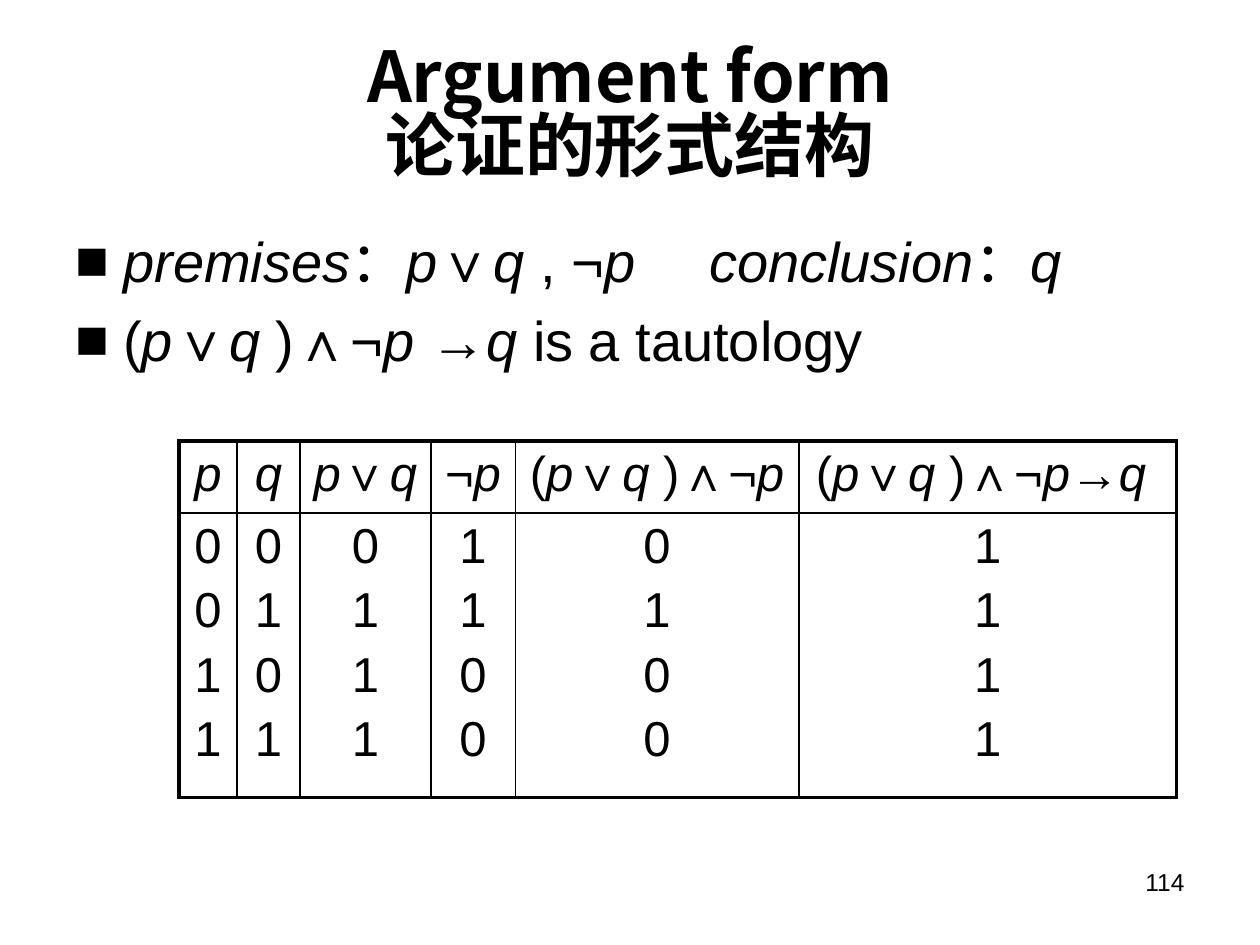
"""Build the slide on argument forms with its truth table."""
import pptx
import pptx.dml.color
import pptx.enum.text
import pptx.oxml.ns
import pptx.util
from lxml import etree
from pptx.util import Inches, Pt

BLACK = pptx.dml.color.RGBColor(0, 0, 0)
ALIGN = pptx.enum.text.PP_ALIGN
FONT = "Arial"
TITLE_FONT = "Noto Sans CJK SC"
THIN, THICK = 1, 2.25
COLUMNS = [
    ("*p*", 0.46, "0011"),
    ("*q*", 0.5, "0101"),
    ("*p*∨*q*", 1.04, "0111"),
    ("¬*p*", 0.67, "1100"),
    ("(*p*∨*q *)∧¬*p*", 2.25, "0100"),
    ("(*p*∨*q *)∧¬*p*→*q *", 3, "1111"),
]


def add_xml(parent, tag, **attrs):
    return etree.SubElement(parent, pptx.oxml.ns.qn(tag), attrs)


def format_run(r, size, font=FONT, bold=False, italic=False):
    r.font.name = font
    r.font.size = Pt(size)
    r.font.bold = bold
    r.font.italic = italic
    r.font.color.rgb = BLACK


def add_marked_runs(p, text, size):
    """Add runs to a paragraph, with italics between asterisks."""
    for i, part in enumerate(text.split("*")):
        if part:
            r = p.add_run()
            r.text = part
            format_run(r, size, italic=i % 2 == 1)


def fill_paragraphs(tf, lines, size, align):
    for i, line in enumerate(lines):
        p = tf.paragraphs[0] if i == 0 else tf.add_paragraph()
        p.alignment = align
        p.space_before = Pt(size * 0.2)
        add_marked_runs(p, line, size)


def add_text_box(s, left, top, width, height):
    tf = s.shapes.add_textbox(Inches(left), Inches(top), Inches(width), Inches(height)).text_frame
    tf.word_wrap = True
    return tf


def add_title(s, text):
    tf = add_text_box(s, 0.5, 0.3, 9, 1.25)
    tf.vertical_anchor = pptx.enum.text.MSO_ANCHOR.MIDDLE
    p = tf.paragraphs[0]
    p.text = text
    p.alignment = ALIGN.CENTER
    p.line_spacing = 0.82
    for r in p.runs:
        format_run(r, 40, TITLE_FONT, bold=True)
        add_xml(r.font._element, "a:ea", typeface=TITLE_FONT)


def add_bullets(s, lines):
    tf = add_text_box(s, 0.5, 1.75, 9, 4.95)
    fill_paragraphs(tf, lines, 32, ALIGN.LEFT)
    for p in tf.paragraphs:
        pPr = p._p.get_or_add_pPr()
        pPr.set("marL", str(Inches(0.38)))
        pPr.set("indent", str(Inches(-0.38)))
        add_xml(pPr, "a:buFont", typeface=FONT)
        add_xml(pPr, "a:buChar", char="■")
        tabs = add_xml(pPr, "a:tabLst")
        add_xml(tabs, "a:tab", pos=str(Inches(5.03)), algn="l")


def set_borders(cell, widths):
    tcPr = cell._tc.get_or_add_tcPr()
    for side, width in zip("LRTB", widths):
        ln = add_xml(tcPr, "a:ln" + side, w=str(Pt(width)))
        fill = add_xml(ln, "a:solidFill")
        add_xml(fill, "a:srgbClr", val=str(BLACK))


def add_truth_table(s):
    last = len(COLUMNS) - 1
    table = s.shapes.add_table(
        2, len(COLUMNS), Inches(1.42), Inches(3.5), Inches(7.92), Inches(2.83)
    ).table
    table.rows[0].height = Inches(0.57)
    table.rows[1].height = Inches(2.26)
    for col, (heading, width, values) in enumerate(COLUMNS):
        table.columns[col].width = Inches(width)
        left = THICK if col == 0 else THIN
        right = THICK if col == last else THIN
        for row, lines in enumerate(([heading], values)):
            cell = table.cell(row, col)
            fill_paragraphs(cell.text_frame, lines, 28, ALIGN.CENTER)
            edges = (THICK, THIN) if row == 0 else (THIN, THICK)
            set_borders(cell, (left, right) + edges)
            cell.fill.background()


def add_page_number(s, number):
    p = add_text_box(s, 7.17, 6.83, 2.33, 0.52).paragraphs[0]
    p.text = number
    p.alignment = ALIGN.RIGHT
    format_run(p.runs[0], 14)


def main():
    prs = pptx.Presentation()
    prs.slide_width, prs.slide_height = Inches(10), Inches(7.5)
    s = prs.slides.add_slide(prs.slide_layouts[6])
    add_title(s, "Argument form\n论证的形式结构")
    add_bullets(s, [
        "*premises*：*p*∨*q *, ¬*p\tconclusion*：*q*",
        "(*p*∨*q *)∧¬*p *→*q *is a tautology",
    ])
    add_truth_table(s)
    add_page_number(s, "114")
    prs.save("out.pptx")


if __name__ == "__main__":
    main()
